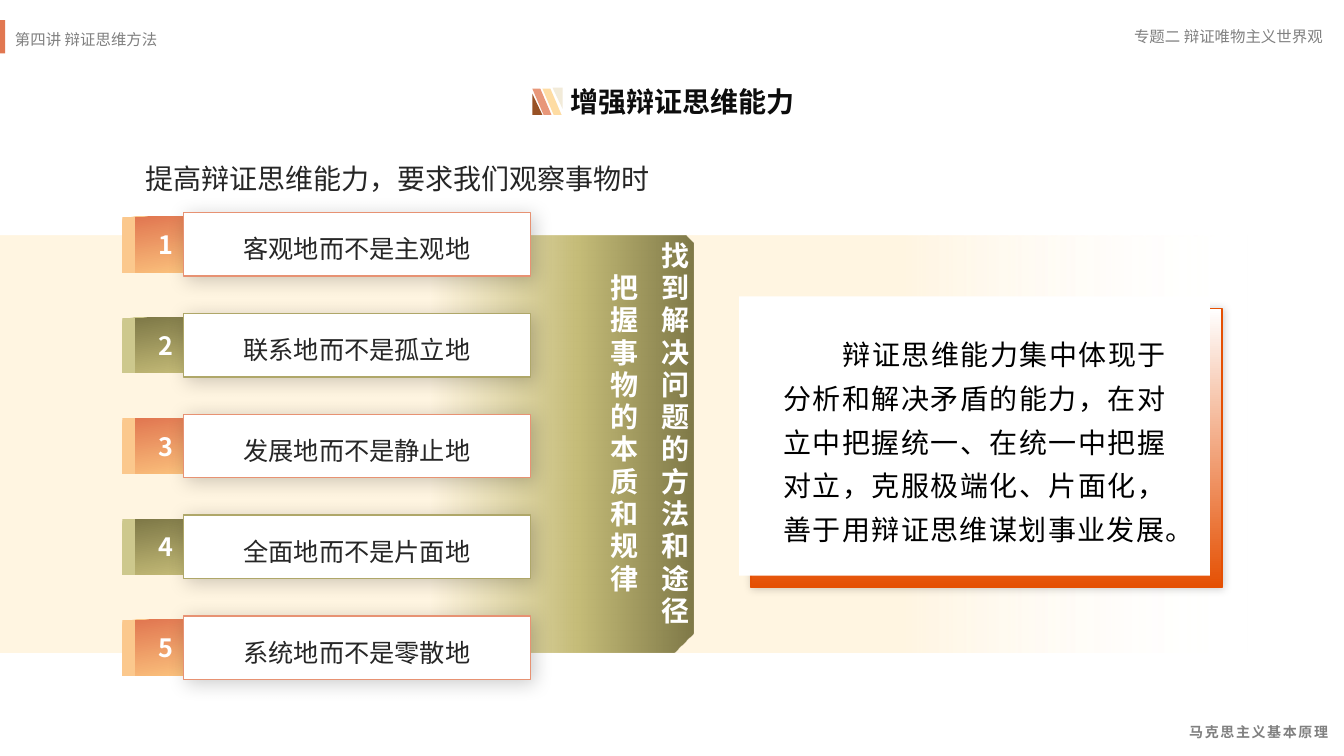
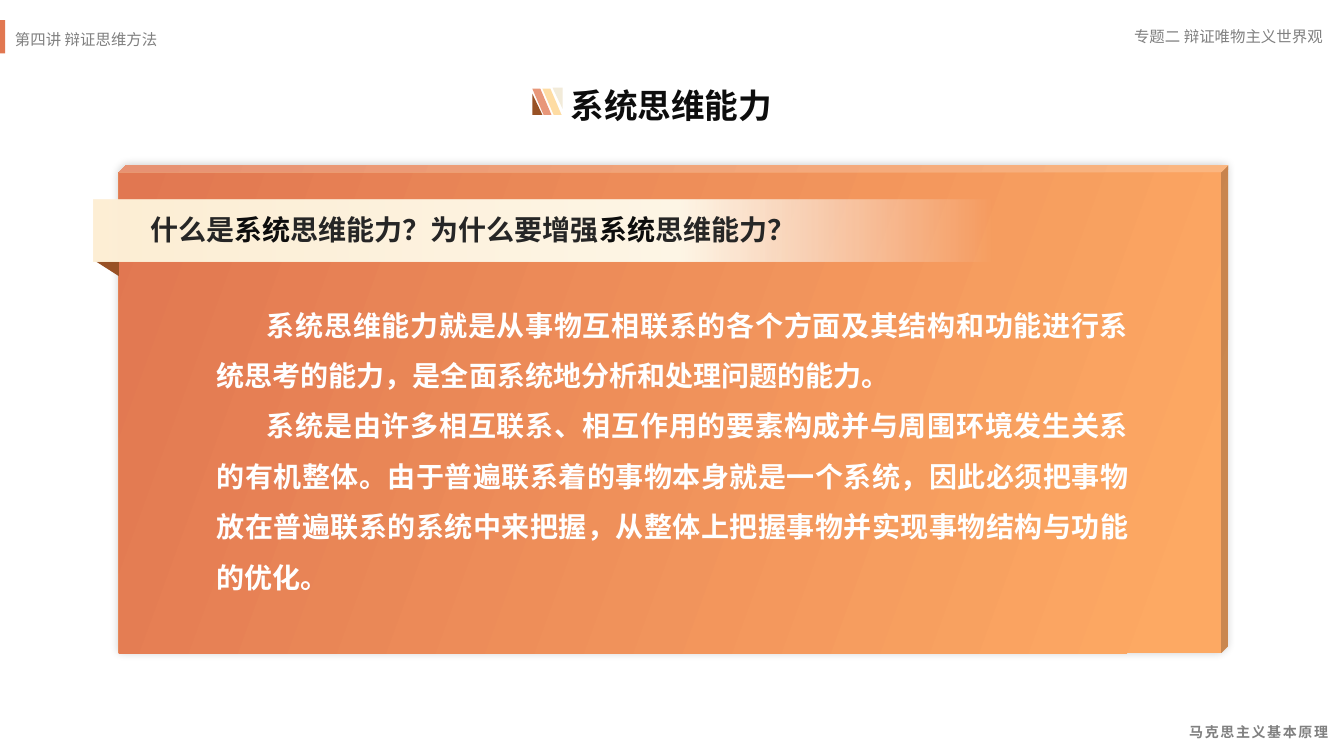
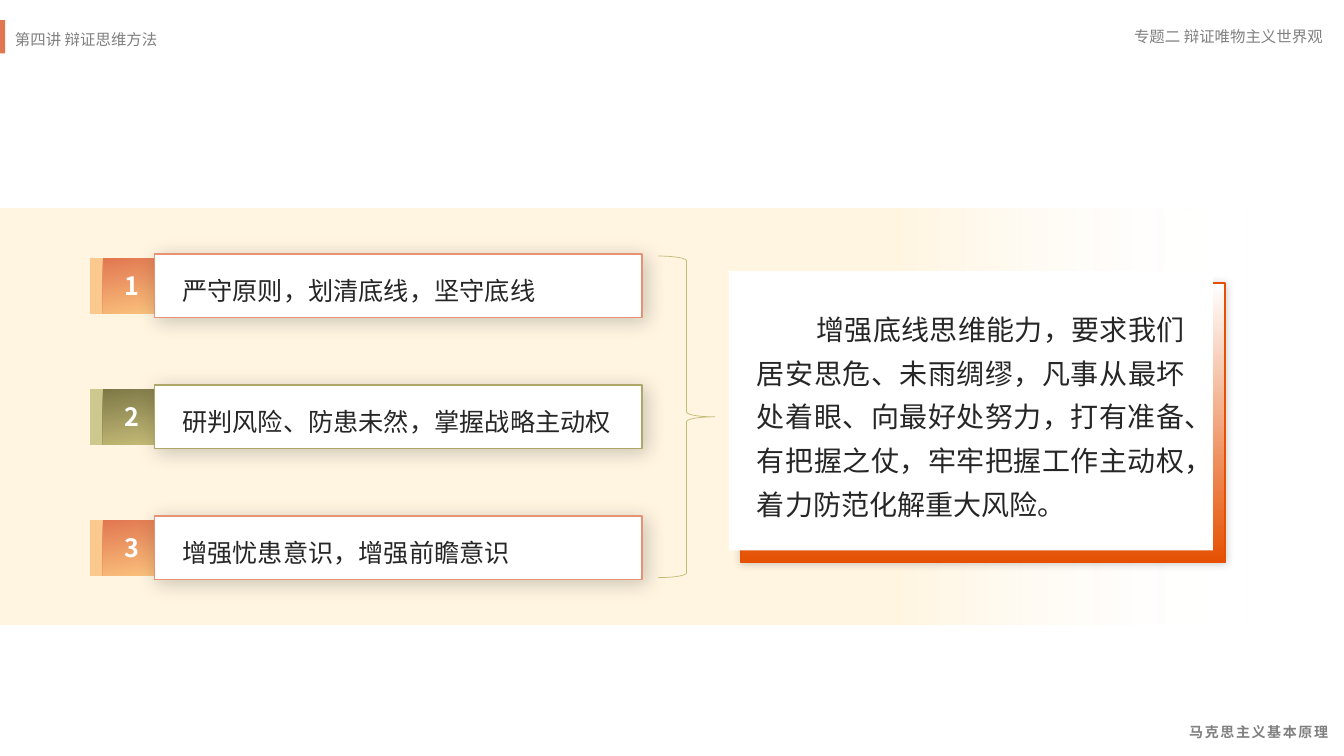
from lxml import etree
from pptx import Presentation
from pptx.dml.color import RGBColor
from pptx.enum.shapes import MSO_SHAPE
from pptx.enum.text import MSO_ANCHOR, MSO_AUTO_SIZE, PP_ALIGN
from pptx.oxml.ns import qn
from pptx.util import Inches, Pt

RECT, CUBE = MSO_SHAPE.RECTANGLE, MSO_SHAPE.CUBE
SLANT, WEDGE = MSO_SHAPE.PARALLELOGRAM, MSO_SHAPE.RIGHT_TRIANGLE
SNIP, BRACE = MSO_SHAPE.SNIP_2_DIAG_RECTANGLE, MSO_SHAPE.RIGHT_BRACE
LEFT, RIGHT = PP_ALIGN.LEFT, PP_ALIGN.RIGHT
MID, FULL = PP_ALIGN.CENTER, PP_ALIGN.JUSTIFY
CENTER, GROW = MSO_ANCHOR.MIDDLE, MSO_AUTO_SIZE.SHAPE_TO_FIT_TEXT

FONT = "Noto Sans CJK SC"
COLORS = {
    "white": "FFFFFF", "black": "000000", "ink": "262626", "head": "0D0D0D",
    "gray": "808080", "coral": "E17751", "sand": "FBC27D", "peach": "FBC88D",
    "rose": "E89779", "edge": "E79273", "olive": "7E7847", "moss": "C5BC78",
    "sage": "CDC88D", "rim": "AFA769", "brace": "C4BB77", "cream": "FFF5E1",
    "gold": "FEDCA3", "bone": "F2EBD9", "rust": "985125", "fire": "E55003",
    "amber": "FDA963", "wheat": "FEEFD5", "milk": "FFF7E7",
}
# Chip start and end, chip shadow, card line
TONES = [("coral", "sand", "peach", "edge"), ("olive", "moss", "sage", "rim")]
SOFT = ("black", 20, 6, 0, 315)


def rgb(name):
    return RGBColor.from_string(COLORS[name])


def node(parent, tag, **attrs):
    return etree.SubElement(parent, qn("a:" + tag),
                            {key: str(val) for key, val in attrs.items()})


def tint(parent, name, alpha=100):
    color = node(parent, "srgbClr", val=COLORS[name])
    if alpha < 100:
        node(color, "alpha", val=alpha * 1000)


def blend(shape, angle, stops):
    """Gradient from (percent, colour[, alpha]) stops."""
    shape.fill.gradient()
    grad = shape._element.spPr.find(qn("a:gradFill"))
    for child in list(grad):
        grad.remove(child)
    items = node(grad, "gsLst")
    for pos, *color in stops:
        tint(node(items, "gs", pos=pos * 1000), *color)
    node(grad, "lin", ang=angle * 60000, scaled=0)


def shade(shape, name, alpha, blur, dist, angle):
    effects = shape._element.spPr.find(qn("a:effectLst"))
    drop = node(effects, "outerShdw", blurRad=Pt(blur), dist=Pt(dist),
                dir=angle * 60000, algn="ctr", rotWithShape=0)
    tint(drop, name, alpha)


def draw(slide, kind, box, fill=None, line=None, width=1, adj=(), shadow=None):
    """Preset shape; fill is a colour name or (angle, stops)."""
    shape = slide.shapes.add_shape(kind, *map(Inches, box))
    shape.shadow.inherit = False
    for i, val in enumerate(adj):
        shape.adjustments[i] = val
    if fill is None:
        shape.fill.background()
    elif isinstance(fill, str):
        shape.fill.solid()
        shape.fill.fore_color.rgb = rgb(fill)
    else:
        blend(shape, *fill)
    if line:
        shape.line.color.rgb = rgb(line)
        shape.line.width = Pt(width)
    else:
        shape.line.fill.background()
    if shadow:
        shade(shape, *shadow)
    return shape


def style(para, size, color, bold=False, align=LEFT, lead=1.0, indent=0, track=0):
    para.alignment = align
    para.line_spacing = lead
    props = para._p.get_or_add_pPr()
    if indent:
        props.set("marL", "0")
        props.set("indent", str(Inches(indent)))
    font = para.font
    font.name, font.size, font.bold = FONT, Pt(size), bold
    font.color.rgb = rgb(color)
    chars = props.find(qn("a:defRPr"))
    node(chars, "ea", typeface=FONT)
    if track:
        chars.set("spc", str(int(track * 100)))


def write(slide, box, paras, size, color, **look):
    """Text box; a paragraph is a string or a list of (text, colour)."""
    shape = slide.shapes.add_textbox(*map(Inches, box))
    frame = shape.text_frame
    frame.word_wrap = True
    frame.auto_size = GROW
    for i, words in enumerate(paras):
        para = frame.add_paragraph() if i else frame.paragraphs[0]
        if isinstance(words, str):
            para.add_run().text = words
        else:
            for part, hue in words:
                run = para.add_run()
                run.text = part
                run.font.color.rgb = rgb(hue)
        style(para, size, color, **look)
    return shape


def start(deck):
    """New slide with the shared header and footer."""
    slide = deck.slides.add_slide(deck.slide_layouts[6])
    write(slide, (10.68, 7.04, 2.59, 0.32), ["马克思主义基本原理"], 10, "gray",
          bold=True, align=RIGHT, lead=1.5, track=1.2)
    write(slide, (9.93, 0.22, 3.29, 0.29), ["专题二 辩证唯物主义世界观"], 11, "gray",
          align=RIGHT)
    write(slide, (0.05, 0.21, 7.83, 0.3), ["第四讲 辩证思维方法"], 11, "gray",
          align=FULL, lead=1.2)
    draw(slide, RECT, (0, 0.2, 0.05, 0.33), "coral")
    return slide


def title(slide, words, size):
    write(slide, (5.56, 0.79, 2.49, 0.5), [words], size, "head", bold=True)
    for left, name in ((5.38, "gold"), (5.28, "rose")):
        bar = draw(slide, SLANT, (left, 0.88, 0.19, 0.26), name, adj=[0.585])
        bar._element.spPr.xfrm.set("flipH", "1")
    draw(slide, WEDGE, (5.48, 0.87, 0.1, 0.21), "bone").rotation = 180
    draw(slide, WEDGE, (5.28, 0.93, 0.1, 0.21), "rust")


def band(slide, top):
    draw(slide, RECT, (0, top, 12.38, 4.13),
         (180, [(0, "white", 0), (28, "cream")]))


def rows(slide, items, top, step, chip, card, align):
    """Numbered cards; chip and card are (left, width)."""
    for i, words in enumerate(items):
        y = top + i * step
        dark, light, glow, edge = TONES[i % 2]
        mark = draw(slide, RECT, (chip[0], y + 0.04, chip[1], 0.55),
                    (80, [(0, dark), (100, light)]),
                    shadow=(glow, 100, 0, 9, 180))
        mark.text_frame.vertical_anchor = CENTER
        para = mark.text_frame.paragraphs[0]
        para.add_run().text = str(i + 1)
        style(para, 18, "white", bold=True, align=MID)
        draw(slide, RECT, (card[0], y, card[1], 0.63), "white", edge,
             shadow=("black", 20, 14, 3, 45))
        write(slide, (card[0] + 0.18, y + 0.1, card[1] - 0.36, 0.43), [words],
              18, "ink", align=align, lead=1.2)


def panel(slide, left, top, width, pad, words, color):
    """White card on an orange card set off to the lower right."""
    draw(slide, RECT, (left + 0.12, top + 0.12, width, 2.77),
         (90, [(0, "white"), (100, "fire")]), "fire", shadow=SOFT)
    draw(slide, RECT, (left, top, width, 2.77), "white")
    write(slide, (left + pad, top + 0.26, width - 2 * pad, 2.25), [words],
          20, color, align=FULL, lead=1.3, indent=0.59)


def think(deck):
    slide = start(deck)
    band(slide, 2.34)
    draw(slide, SNIP, (4.28, 2.34, 2.6, 4.13),
         (180, [(0, "olive"), (44, "moss"), (100, "moss", 0)]),
         adj=[0.075, 0.03])
    rows(slide, ["客观地而不是主观地", "联系地而不是孤立地", "发展地而不是静止地",
                 "全面地而不是片面地", "系统地而不是零散地"],
         2.11, 1, (1.34, 0.61), (1.82, 3.44), MID)
    title(slide, "增强辩证思维能力", 20)
    panel(slide, 7.33, 2.94, 4.67, 0.34,
          "辩证思维能力集中体现于分析和解决矛盾的能力，在对立中把握统一、"
          "在统一中把握对立，克服极端化、片面化，善于用辩证思维谋划事业发展。",
          "black")
    write(slide, (1.34, 1.55, 5.48, 0.44),
          ["提高辩证思维能力，要求我们观察事物时"], 20, "ink")
    goal = write(slide, (5.86, 2.3, 1.21, 4.25),
                 ["找到解决问题的方法和途径", "把握事物的本质和规律"], 20, "white",
                 bold=True, align=MID, lead=1.5, track=3)
    goal.text_frame._txBody.bodyPr.set("vert", "eaVert")


def system(deck):
    slide = start(deck)
    draw(slide, CUBE, (1.18, 1.64, 11, 4.84),
         (200, [(4, "amber"), (100, "coral")]), adj=[0.014], shadow=SOFT)
    write(slide, (2.05, 2.84, 9.24, 3.13),
          ["系统思维能力就是从事物互相联系的各个方面及其结构和功能进行系统思考的能力，"
           "是全面系统地分析和处理问题的能力。",
           "系统是由许多相互联系、相互作用的要素构成并与周围环境发生关系的有机整体。"
           "由于普遍联系着的事物本身就是一个系统，因此必须把事物放在普遍联系的系统中来把握，"
           "从整体上把握事物并实现事物结构与功能的优化。"],
          20, "white", bold=True, align=FULL, lead=1.5, indent=0.5)
    title(slide, "系统思维能力", 24)
    # Ribbon with the question
    draw(slide, WEDGE, (0.93, 2.58, 0.25, 0.16), "rust").rotation = 180
    draw(slide, RECT, (0.93, 1.98, 8.9, 0.61),
         (0, [(0, "wheat"), (65, "milk"), (100, "white", 0)]))
    write(slide, (1.39, 2.06, 6.63, 0.44),
          [[("什么是", "ink"), ("系统", "head"), ("思维能力？为什么要增强", "ink"),
            ("系统", "head"), ("思维能力？", "ink")]],
          20, "ink", bold=True, align=FULL)


def limit(deck):
    slide = start(deck)
    band(slide, 2.07)
    rows(slide, ["严守原则，划清底线，坚守底线", "研判风险、防患未然，掌握战略主动权",
                 "增强忧患意识，增强前瞻意识"],
         2.52, 1.3, (1.02, 0.57), (1.53, 4.84), LEFT)
    draw(slide, BRACE, (6.53, 2.54, 0.56, 3.19), line="brace", width=0.5)
    panel(slide, 7.23, 2.69, 4.8, 0.18,
          "增强底线思维能力，要求我们居安思危、未雨绸缪，凡事从最坏处着眼、"
          "向最好处努力，打有准备、有把握之仗，牢牢把握工作主动权，着力防范化解重大风险。",
          "ink")


def main():
    deck = Presentation()
    deck.slide_width, deck.slide_height = Inches(13.33), Inches(7.5)
    for build in (think, system, limit):
        build(deck)
    deck.save("out.pptx")


if __name__ == "__main__":
    main()
